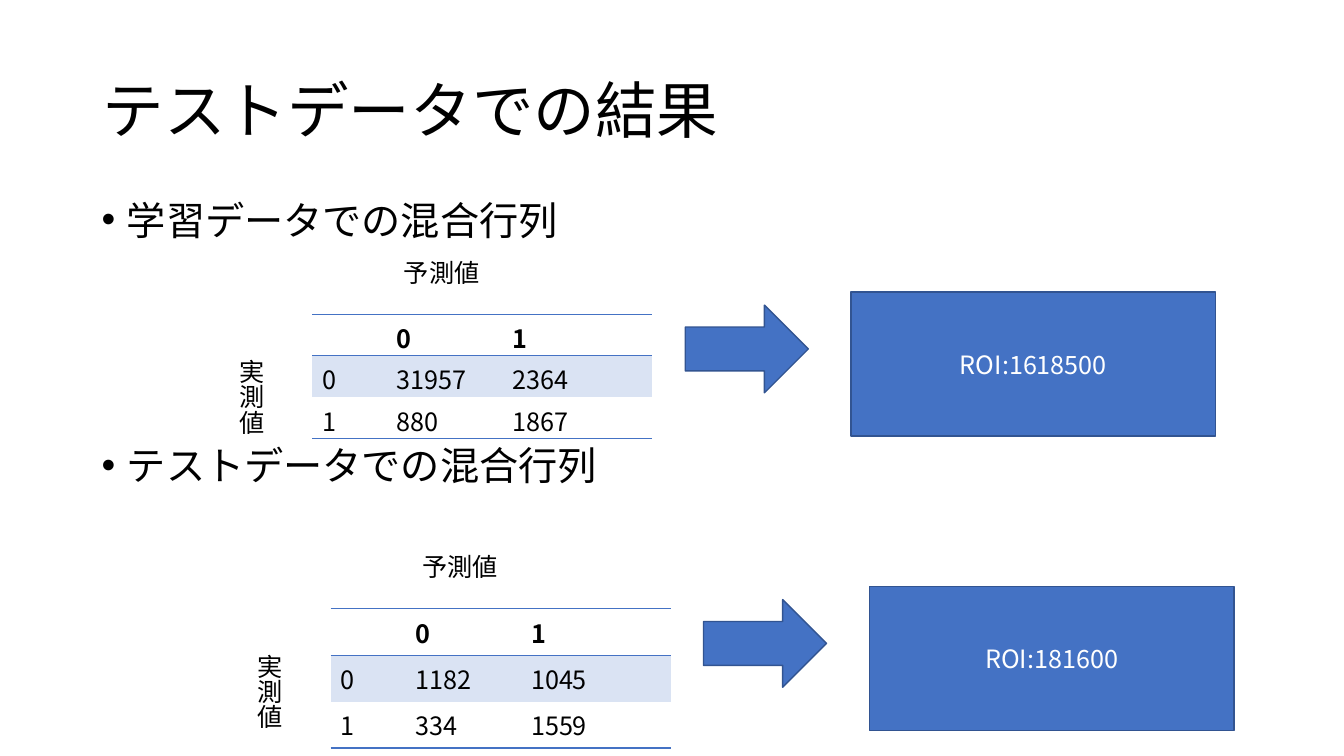
from lxml import etree
from pptx import Presentation
from pptx.dml import color
from pptx.enum import shapes, text
from pptx.oxml import ns
from pptx.util import Cm, Pt

FONT = "Noto Sans CJK JP"
BLUE, EDGE, BAND, BLACK, WHITE = "4472C4", "325491", "DAE3F3", "000000", "FFFFFF"
NO_STYLE = "{2D5ABB26-0587-4C30-8999-92F81FD0307C}"

TITLE = "テストデータでの結果"
BULLETS = [("学習データでの混合行列", 0), ("テストデータでの混合行列", 150)]
PREDICTED, ACTUAL = "予測値", "実測値"
RESULTS = [
    dict(left=7.87, top=7.92, row=1.04, pad=0, roi="ROI:1618500",
         matrix=[("", "0", "1"), ("0", "31957", "2364"), ("1", "880", "1867")]),
    dict(left=8.33, top=15.34, row=1.17, pad=0.12, roi="ROI:181600",
         matrix=[("", "0", "1"), ("0", "1182", "1045"), ("1", "334", "1559")]),
]
COLUMNS = (1.88, 2.92, 3.77)


def rgb(value):
    return color.RGBColor.from_string(value)


def cm(*lengths):
    return [Cm(n) for n in lengths]


def add_xml(parent, tag, **attrs):
    return etree.SubElement(parent, ns.qn(tag), attrs)


def style(p, size=18, ink=BLACK, bold=False):
    p.font.size, p.font.bold, p.font.name = Pt(size), bold, FONT
    p.font.color.rgb = rgb(ink)
    add_xml(p._p.pPr.find(ns.qn("a:defRPr")), "a:ea", typeface=FONT)


def add_label(box, words, wrap):
    tf = sld.shapes.add_textbox(*cm(*box)).text_frame
    tf.word_wrap = wrap
    tf.text = words
    style(tf.paragraphs[0])
    return tf


def add_block(kind, box):
    sp = sld.shapes.add_shape(kind, *cm(*box))
    sp.shadow.inherit = False
    sp.fill.solid()
    sp.fill.fore_color.rgb = rgb(BLUE)
    sp.line.color.rgb = rgb(EDGE)
    sp.line.width = Pt(1)
    return sp


def add_border(cell, tag):
    ln = add_xml(cell._tc.get_or_add_tcPr(), tag, w=str(Pt(1)))
    add_xml(add_xml(ln, "a:solidFill"), "a:srgbClr", val=BLUE)


def add_matrix(x, y, result):
    rows = result["matrix"]
    frame = sld.shapes.add_table(len(rows), len(COLUMNS), *cm(
        x, y, sum(COLUMNS), result["row"] * len(rows)))
    table = frame.table
    table._tbl.tblPr.find(ns.qn("a:tableStyleId")).text = NO_STYLE
    for column, width in zip(table.columns, COLUMNS):
        column.width = Cm(width)
    for i, values in enumerate(rows):
        table.rows[i].height = Cm(result["row"])
        for j, value in enumerate(values):
            cell = table.cell(i, j)
            cell.margin_bottom = Cm(result["pad"])
            cell.text = value
            style(cell.text_frame.paragraphs[0], bold=i == 0)
            if i == 0:
                add_border(cell, "a:lnT")
            if i != 1:
                add_border(cell, "a:lnB")
            if i == 1:
                cell.fill.solid()
                cell.fill.fore_color.rgb = rgb(BAND)
            else:
                cell.fill.background()


prs = Presentation()
prs.slide_width, prs.slide_height = cm(33.87, 19.05)
sld = prs.slides.add_slide(prs.slide_layouts[5])

title = sld.shapes.title
title.left, title.top, title.width, title.height = cm(2.33, 1.01, 29.21, 3.68)
tf = title.text_frame
tf.text = TITLE
tf.vertical_anchor = text.MSO_ANCHOR.MIDDLE
p = tf.paragraphs[0]
p.alignment, p.line_spacing = text.PP_ALIGN.LEFT, 0.9
style(p, 44)

tf = sld.shapes.add_textbox(*cm(2.31, 5.08, 29.21, 12.09)).text_frame
tf.word_wrap = True
for i, (words, gap) in enumerate(BULLETS):
    p = tf.add_paragraph() if i else tf.paragraphs[0]
    p.text = words
    p.line_spacing, p.space_before = 0.76, Pt(gap)
    pPr = p._p.get_or_add_pPr()
    pPr.set("marL", str(Cm(0.64)))
    pPr.set("indent", str(-Cm(0.64)))
    add_xml(pPr, "a:buFont", typeface="Arial")
    add_xml(pPr, "a:buChar", char="•")
    style(p, 28)

for result in RESULTS:
    x, y = result["left"], result["top"]
    add_matrix(x, y, result)
    add_label((x + 2.06, y - 1.57, 2.44, 1.02), PREDICTED, False)
    actual = add_label((x - 2.31, y + 0.89, 1.27, 2.77), ACTUAL, True)
    actual._txBody.bodyPr.set("vert", "eaVert")
    add_block(shapes.MSO_SHAPE.RIGHT_ARROW, (x + 9.4, y - 0.23, 3.1, 2.21))
    roi = add_block(shapes.MSO_SHAPE.RECTANGLE, (x + 13.58, y - 0.56, 9.19, 3.63))
    tf = roi.text_frame
    tf.text = result["roi"]
    tf.vertical_anchor = text.MSO_ANCHOR.MIDDLE
    p = tf.paragraphs[0]
    p.alignment = text.PP_ALIGN.CENTER
    style(p, ink=WHITE)

prs.save("out.pptx")
